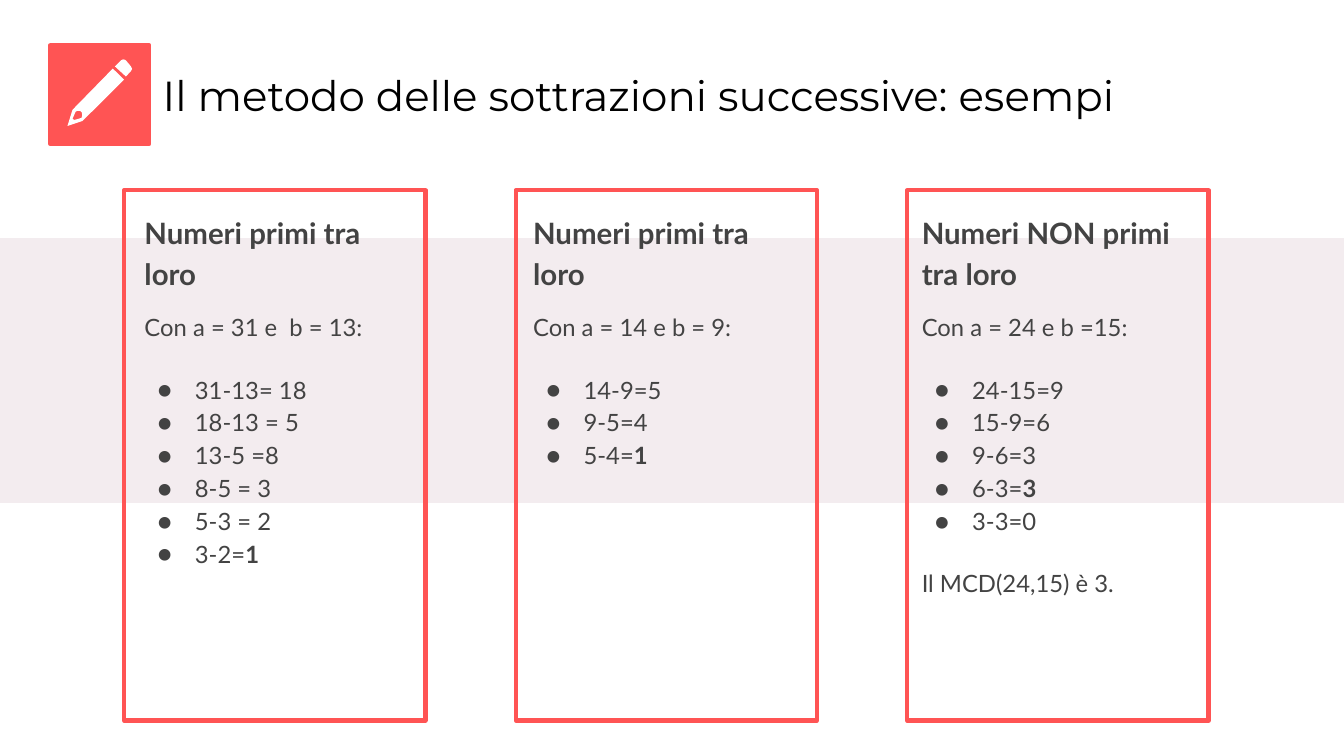
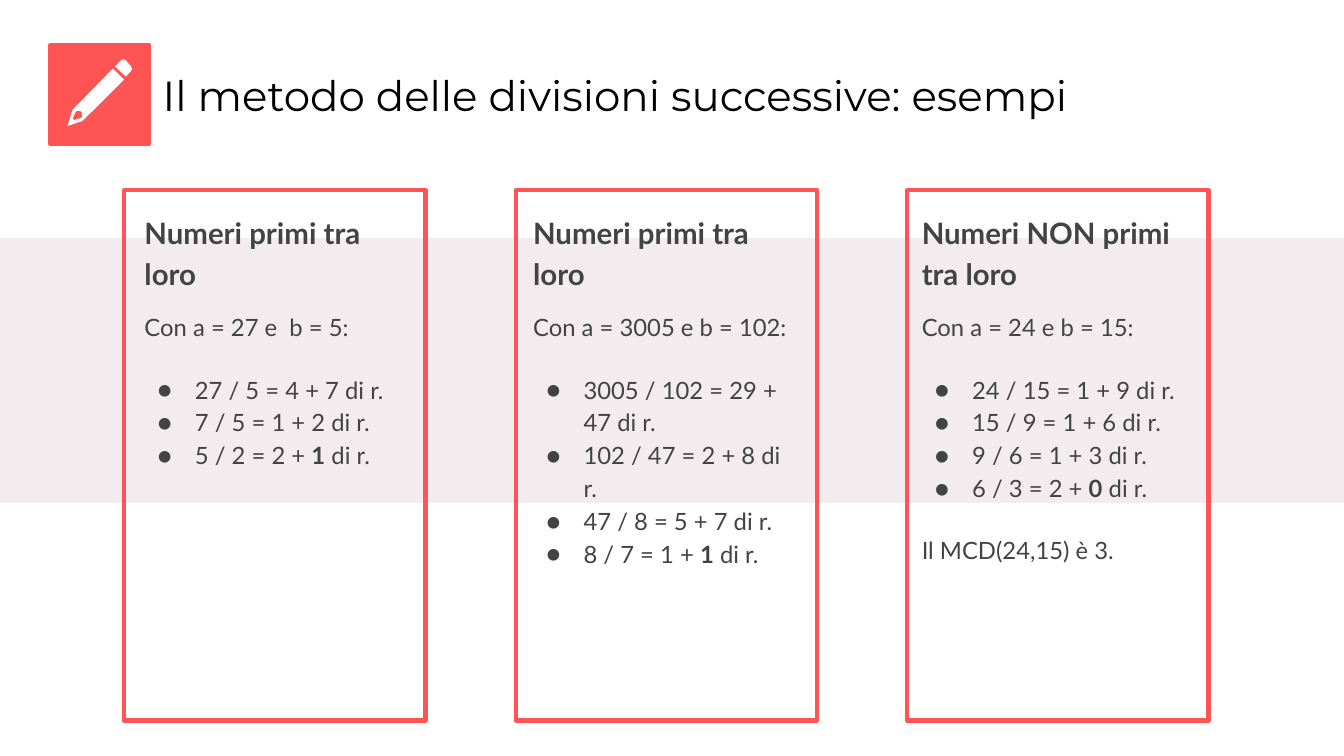
from dataclasses import dataclass

from lxml import etree
from pptx import Presentation
from pptx import util as u
from pptx.dml.color import RGBColor
from pptx.enum import shapes, text
from pptx.oxml import ns


@dataclass(frozen=True)
class Theme:
    accent: RGBColor = RGBColor(0xFF, 0x54, 0x54)
    band: RGBColor = RGBColor(0xF3, 0xEC, 0xEF)
    paper: RGBColor = RGBColor(0xFF, 0xFF, 0xFF)
    title_ink: RGBColor = RGBColor(0, 0, 0)
    ink: RGBColor = RGBColor(0x43, 0x43, 0x43)
    title_font: str = "Montserrat"
    text_font: str = "Lato"
    title_size: int = 30
    heading_size: int = 21
    body_size: int = 17
    gap: int = 21
    line_spacing: float = 1.15
    inset: float = 9.6
    outline: float = 3


@dataclass(frozen=True)
class Box:
    left: float
    top: float
    width: float
    height: float

    def shifted(self, distance: float) -> "Box":
        return Box(self.left + distance, self.top, self.width, self.height)

    def lengths(self) -> tuple[u.Pt, ...]:
        return u.Pt(self.left), u.Pt(self.top), u.Pt(self.width), u.Pt(self.height)


@dataclass(frozen=True)
class Example:
    heading: str
    premise: str
    steps: tuple[str, ...]
    conclusion: str = ""


@dataclass(frozen=True)
class Method:
    title: str
    examples: tuple[Example, ...]


THEME = Theme()
SLIDE = Box(0, 0, 960, 540)
BAND = Box(0, 171.4, 960, 186.5)
BADGE = Box(36, 32.4, 70.6, 70.6)
TITLE = Box(106.6, 32.4, 809.3, 70.6)
FRAME = Box(88.6, 136, 215.3, 378.7)
FRAME_STEP = 279.7
HEADING = Box(93.6, 140.4, 209.5, 47.5)
BODY = Box(93.6, 211, 209.5, 211)
TEXT_STEP = 277.6

Outline = tuple[tuple[float, float], ...]
PENCIL_BODY: Outline = ((80.6, 49), (51.8, 78.5), (48.2, 90), (59, 86.4), (88.6, 56.9))
PENCIL_TIP: Outline = ((56.2, 79.2), (57.6, 79.4), (58.4, 80.2), (58.8, 82), (58.3, 84.2),
                       (53.3, 85.7), (51.8, 85), (54, 79.9), (54.9, 79.3))
PENCIL_ERASER: Outline = ((87.8, 42.5), (86.4, 43.2), (82.1, 47.5), (90, 54.7), (93.6, 50.8),
                          (94.4, 49.3), (93.6, 47.5), (90, 43.2), (89, 42.6))

COPRIME = "Numeri primi tra loro"
NOT_COPRIME = "Numeri NON primi tra loro"
GCD = "Il MCD(24,15) è 3."

METHODS = (
    Method("Il metodo delle sottrazioni successive: esempi", (
        Example(COPRIME, "Con a = 31 e  b = 13:",
                ("31-13= 18", "18-13 = 5", "13-5 =8", "8-5 = 3", "5-3 = 2", "3-2=*1*")),
        Example(COPRIME, "Con a = 14 e b = 9:", ("14-9=5", "9-5=4", "5-4=*1*")),
        Example(NOT_COPRIME, "Con a = 24 e b =15:",
                ("24-15=9", "15-9=6", "9-6=3", "6-3=*3*", "3-3=0"), GCD),
    )),
    Method("Il metodo delle divisioni successive: esempi", (
        Example(COPRIME, "Con a = 27 e  b = 5:",
                ("27 / 5 = 4 + 7 di r.", "7 / 5 = 1 + 2 di r.", "5 / 2 = 2 + *1* di r.")),
        Example(COPRIME, "Con a = 3005 e b = 102:",
                ("3005 / 102 = 29 + 47 di r.", "102 / 47 = 2 + 8 di r.",
                 "47 / 8 = 5 + 7 di r.", "8 / 7 = 1 + *1* di r.")),
        Example(NOT_COPRIME, "Con a = 24 e b = 15:",
                ("24 / 15 = 1 + 9 di r.", "15 / 9 = 1 + 6 di r.",
                 "9 / 6 = 1 + 3 di r.", "6 / 3 = 2 + *0* di r."), GCD),
    )),
)


def add_rectangle(slide, box: Box, color: RGBColor, filled: bool = True) -> None:
    rectangle = slide.shapes.add_shape(shapes.MSO_SHAPE.RECTANGLE, *box.lengths())
    rectangle.shadow.inherit = False
    if filled:
        rectangle.fill.solid()
        rectangle.fill.fore_color.rgb = color
    else:
        rectangle.fill.background()
    rectangle.line.color.rgb = color
    rectangle.line.width = u.Pt(THEME.outline)


def add_pencil(slide) -> None:
    pencil = slide.shapes.add_group_shape()
    for contours in ((PENCIL_BODY, PENCIL_TIP), (PENCIL_ERASER,)):
        first, *others = [[(u.Pt(x), u.Pt(y)) for x, y in contour] for contour in contours]
        builder = pencil.shapes.build_freeform(*first[0])
        builder.add_line_segments(first[1:])
        for contour in others:
            builder.move_to(*contour[0])
            builder.add_line_segments(contour[1:])
        part = builder.convert_to_shape()
        part.shadow.inherit = False
        part.fill.solid()
        part.fill.fore_color.rgb = THEME.paper
        part.line.fill.background()


def prepare_frame(frame, anchor: text.MSO_ANCHOR) -> None:
    frame.word_wrap = True
    frame.auto_size = text.MSO_AUTO_SIZE.NONE
    frame.vertical_anchor = anchor
    frame.margin_left = frame.margin_right = u.Pt(THEME.inset)
    frame.margin_top = frame.margin_bottom = u.Pt(THEME.inset)


def set_font(font, name: str, size: float, color: RGBColor, bold: bool = False) -> None:
    font.name = name
    font.size = u.Pt(size)
    font.color.rgb = color
    font.bold = bold


def set_title(slide, wording: str) -> None:
    title = slide.shapes.title
    title.left, title.top, title.width, title.height = TITLE.lengths()
    prepare_frame(title.text_frame, text.MSO_ANCHOR.MIDDLE)
    title.text_frame.text = wording
    line = title.text_frame.paragraphs[0]
    line.alignment = text.PP_ALIGN.LEFT
    set_font(line.font, THEME.title_font, THEME.title_size, THEME.title_ink)


def add_text_frame(slide, box: Box):
    frame = slide.shapes.add_textbox(*box.lengths()).text_frame
    prepare_frame(frame, text.MSO_ANCHOR.TOP)
    return frame


def write(paragraph, wording: str, size: float, bold: bool = False,
          before: float = 0, bullet: bool = False) -> None:
    paragraph.line_spacing = THEME.line_spacing
    paragraph.space_before = u.Pt(before)
    if bullet:
        properties = paragraph._p.get_or_add_pPr()
        properties.set("marL", str(u.Pt(36)))
        properties.set("indent", str(u.Pt(-26.6)))
        etree.SubElement(properties, ns.qn("a:buFont")).set("typeface", THEME.text_font)
        etree.SubElement(properties, ns.qn("a:buChar")).set("char", "●")
    set_font(paragraph.font, THEME.text_font, size, THEME.ink, bold)
    for index, part in enumerate(wording.split("*")):
        if part:
            run = paragraph.add_run()
            run.text = part
            if index % 2:
                run.font.bold = True


def add_example(slide, example: Example, column: int) -> None:
    add_rectangle(slide, FRAME.shifted(column * FRAME_STEP), THEME.accent, filled=False)
    heading = add_text_frame(slide, HEADING.shifted(column * TEXT_STEP))
    write(heading.paragraphs[0], example.heading, THEME.heading_size, bold=True)
    body = add_text_frame(slide, BODY.shifted(column * TEXT_STEP))
    write(body.paragraphs[0], example.premise, THEME.body_size)
    for index, step in enumerate(example.steps):
        write(body.add_paragraph(), step, THEME.body_size,
              before=0 if index else THEME.gap, bullet=True)
    if example.conclusion:
        write(body.add_paragraph(), example.conclusion, THEME.body_size, before=THEME.gap)


def add_method(deck, method: Method) -> None:
    slide = deck.slides.add_slide(deck.slide_layouts.get_by_name("Title Only"))
    set_title(slide, method.title)
    add_rectangle(slide, BAND, THEME.band)
    add_rectangle(slide, BADGE, THEME.accent)
    add_pencil(slide)
    for column, example in enumerate(method.examples):
        add_example(slide, example, column)


def main() -> None:
    deck = Presentation()
    deck.slide_width, deck.slide_height = u.Pt(SLIDE.width), u.Pt(SLIDE.height)
    for method in METHODS:
        add_method(deck, method)
    deck.save("out.pptx")


if __name__ == "__main__":
    main()
